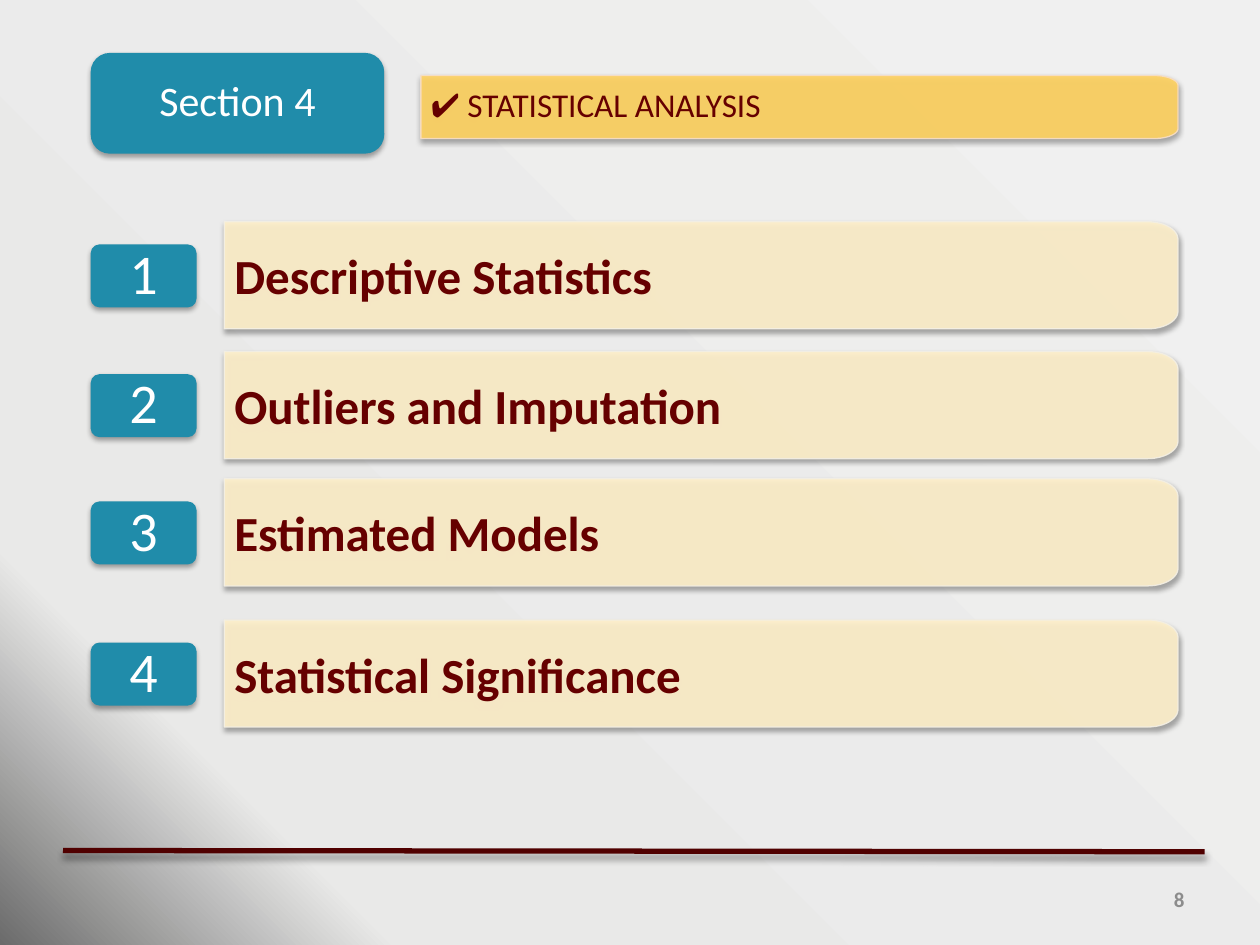
import math
from pptx import Presentation
from pptx.dml.color import RGBColor
from pptx.enum.shapes import MSO_CONNECTOR, MSO_SHAPE
from pptx.enum.text import MSO_ANCHOR, PP_ALIGN
from pptx.oxml import parse_xml
from pptx.oxml.ns import nsdecls, qn
from pptx.util import Inches, Pt

ROUNDED = MSO_SHAPE.ROUNDED_RECTANGLE
STRAIGHT = MSO_CONNECTOR.STRAIGHT
MIDDLE = MSO_ANCHOR.MIDDLE
LEFT, CENTER, RIGHT = PP_ALIGN.LEFT, PP_ALIGN.CENTER, PP_ALIGN.RIGHT
TEAL, MAROON, WHITE = "208CAA", "660000", "FFFFFF"
TOPICS = [
    (1.76, "Descriptive Statistics"),
    (2.79, "Outliers and Imputation"),
    (3.8, "Estimated Models"),
    (4.92, "Statistical Significance"),
]


def color(value):
    """Turn a hex string into a colour."""
    return RGBColor.from_string(value)


def set_background(slide):
    """Fill the slide with a gradient that spreads from the top right corner."""
    stops = "".join(
        f'<a:gs pos="{position * 1000}"><a:srgbClr val="{value}"/></a:gs>'
        for position, value in [(0, "F0F0F0"), (82, "E9E9E8"), (100, "6B6B6B")])
    background = parse_xml(
        f'<p:bg {nsdecls("p", "a")}><p:bgPr><a:gradFill rotWithShape="1">'
        f'<a:gsLst>{stops}</a:gsLst><a:path path="circle">'
        '<a:fillToRect l="100000" b="100000"/></a:path></a:gradFill>'
        '<a:effectLst/></p:bgPr></p:bg>')
    slide.element.find(qn("p:cSld")).insert(0, background)


def add_shadow(shape, opacity=35, blur=3.1, distance=1.8):
    """Give a shape or line a soft black shadow straight below it."""
    shape._element.spPr.append(parse_xml(
        f'<a:effectLst {nsdecls("a")}><a:outerShdw blurRad="{Pt(blur)}" '
        f'dist="{Pt(distance)}" dir="5400000" rotWithShape="0">'
        f'<a:srgbClr val="000000"><a:alpha val="{opacity * 1000}"/></a:srgbClr>'
        '</a:outerShdw></a:effectLst>'))


def set_alpha(shape):
    """Make the fill and line of a shape 90 percent opaque."""
    for element in shape._element.spPr.iter(qn("a:srgbClr")):
        element.append(parse_xml(f'<a:alpha {nsdecls("a")} val="90000"/>'))


def write(shape, runs, size, value, insets, align=LEFT, bold=False, spacing=1, after=0):
    """Write one paragraph of (text, font) runs in the middle of a shape."""
    frame = shape.text_frame
    frame.word_wrap = True
    frame.vertical_anchor = MIDDLE
    left, top, right, bottom = map(Inches, insets)
    frame.margin_left, frame.margin_top = left, top
    frame.margin_right, frame.margin_bottom = right, bottom
    paragraph = frame.paragraphs[0]
    paragraph.alignment = align
    paragraph.line_spacing = spacing
    paragraph.space_after = Pt(round(size * after, 1))
    for text, font in runs:
        run = paragraph.add_run()
        run.text = text
        run.font.name = font
        run.font.size = Pt(size)
        run.font.bold = bold
        run.font.color.rgb = color(value)


def add_button(slide, left, top, width, height, text, size, rounding):
    """Add a teal rounded button with a centred label."""
    shape = slide.shapes.add_shape(
        ROUNDED, Inches(left), Inches(top), Inches(width), Inches(height))
    shape.adjustments[0] = rounding
    shape.fill.solid()
    shape.fill.fore_color.rgb = color(TEAL)
    shape.line.fill.background()
    add_shadow(shape)
    write(shape, [(text, "Calibri")], size, WHITE, [0.21, 0.14, 0.21, 0.14],
          CENTER, spacing=0.9, after=0.35)


def add_bar(slide, left, top, width, height, corner, fill, line):
    """Add a bar with two rounded corners on its right side."""
    radius_x, radius_y = corner
    right, bottom = left + width, top + height
    angles = [math.radians(step * 7.5) for step in range(13)]
    upper = [(right - radius_x * (1 - math.sin(angle)),
              top + radius_y * (1 - math.cos(angle))) for angle in angles]
    lower = [(x, top + bottom - y) for x, y in reversed(upper)]
    points = [(Inches(x), Inches(y)) for x, y in upper + lower + [(left, bottom)]]
    builder = slide.shapes.build_freeform(Inches(left), Inches(top))
    builder.add_line_segments(points, close=True)
    shape = builder.convert_to_shape()
    shape.fill.solid()
    shape.fill.fore_color.rgb = color(fill)
    shape.line.color.rgb = color(line)
    shape.line.width = Pt(0.75)
    set_alpha(shape)
    add_shadow(shape)
    return shape


def add_header(slide, left, top):
    """Add the section button and the title bar beside it."""
    add_button(slide, left, top, 2.33, 0.8, "Section 4", 24, 0.19)
    bar = add_bar(slide, left + 2.62, top + 0.18, 6.01, 0.5, (0.19, 0.08),
                  "FFD25F", "F7DEC6")
    write(bar, [("\u2714", "Arial"), (" STATISTICAL ANALYSIS", "Calibri")], 19,
          MAROON, [0.08, 0.1, 0.14, 0.1], spacing=0.9, after=0.15)


def add_topic(slide, left, top, number, text):
    """Add a numbered badge and its topic bar."""
    bar = add_bar(slide, left + 1.06, top, 7.57, 0.85, (0.24, 0.14),
                  "FFF0CA", "F3EFE4")
    write(bar, [(text, "Calibri")], 28, MAROON, [0.08, 0.1, 0.14, 0.1], bold=True)
    add_button(slide, left, top + 0.18, 0.84, 0.5, str(number), 32, 0.14)


def add_footer(slide, left, top):
    """Add the footer rule and the slide number."""
    rule = slide.shapes.add_connector(
        STRAIGHT, Inches(left), Inches(top), Inches(left + 9.06), Inches(top + 0.01))
    rule.line.color.rgb = color("500000")
    rule.line.width = Pt(3)
    add_shadow(rule, 40, 4, 3)
    number = slide.shapes.add_textbox(
        Inches(left + 6.67), Inches(top + 0.19), Inches(2.33), Inches(0.4))
    write(number, [("8", "Calibri")], 12, "8C8C8C", [0.1, 0.05, 0.1, 0.05],
          RIGHT, bold=True)


def build():
    """Build and save the presentation."""
    presentation = Presentation()
    presentation.slide_width, presentation.slide_height = Inches(10), Inches(7.5)
    slide = presentation.slides.add_slide(presentation.slide_layouts[6])
    set_background(slide)
    add_footer(slide, 0.5, 6.75)
    add_header(slide, 0.72, 0.42)
    for number, (top, text) in enumerate(TOPICS, 1):
        add_topic(slide, 0.72, top, number, text)
    presentation.save("out.pptx")


build()
